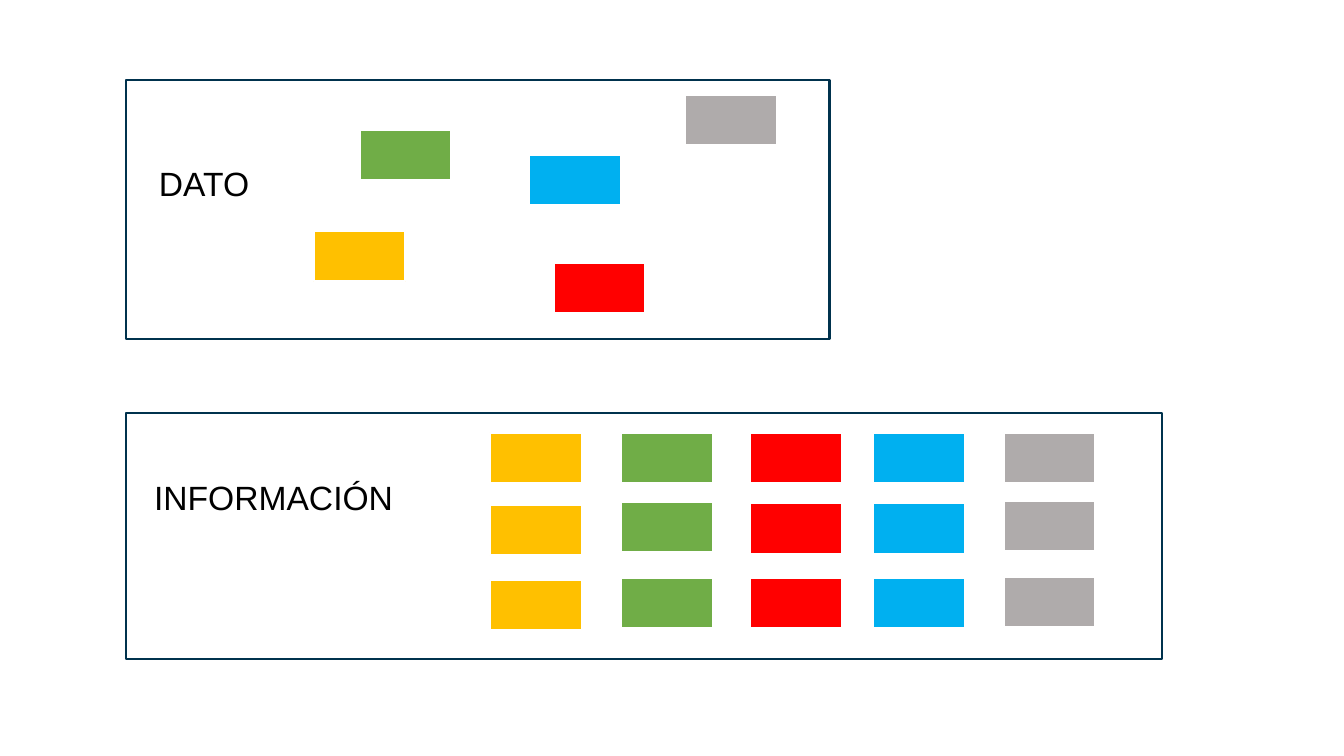
import pptx
import pptx.util
import pptx.dml.color
import pptx.enum.shapes
import pptx.enum.text
from dataclasses import dataclass

Pt = pptx.util.Pt


@dataclass(frozen=True)
class Theme:
    font: str = "Arial"
    size: int = 24
    line: float = 1.5
    ink: str = "000000"
    edge: str = "00324D"
    white: str = "FFFFFF"
    gold: str = "FFC000"
    green: str = "70AD47"
    red: str = "FF0000"
    blue: str = "00B0F0"
    gray: str = "AFABAB"


def rgb(code):
    return pptx.dml.color.RGBColor.from_string(code)


def write(frame, text, *, font, size, color):
    run = frame.paragraphs[0].add_run()
    run.text = text
    run.font.name = font
    run.font.size = Pt(size)
    run.font.color.rgb = rgb(color)


class Board:
    def __init__(self, slide, theme):
        self.slide = slide
        self.theme = theme

    def rect(self, left, top, width, height, line, fill=None):
        kind = pptx.enum.shapes.MSO_SHAPE.RECTANGLE
        shape = self.slide.shapes.add_shape(
            kind, Pt(left), Pt(top), Pt(width), Pt(height))
        shape.shadow.inherit = False
        if fill:
            shape.fill.solid()
            shape.fill.fore_color.rgb = rgb(fill)
        else:
            shape.fill.background()
        shape.line.color.rgb = rgb(line)
        shape.line.width = Pt(self.theme.line)

    def panel(self, left, top, width, height):
        self.rect(left, top, width, height, self.theme.edge)

    def block(self, left, top, color):
        self.rect(left, top, 65.5, 36, self.theme.white, color)

    def label(self, text, left, top, width):
        box = self.slide.shapes.add_textbox(
            Pt(left), Pt(top), Pt(width), Pt(36.3))
        frame = box.text_frame
        frame.word_wrap = False
        frame.auto_size = pptx.enum.text.MSO_AUTO_SIZE.SHAPE_TO_FIT_TEXT
        write(frame, text, font=self.theme.font, size=self.theme.size,
              color=self.theme.ink)


def main():
    deck = pptx.Presentation()
    deck.slide_width = Pt(960)
    deck.slide_height = Pt(540)
    theme = Theme()
    board = Board(deck.slides.add_slide(deck.slide_layouts[6]), theme)

    board.panel(90, 57, 502.5, 185)
    board.label("DATO", 106.5, 113, 80)
    loose = [
        (224, 165, theme.gold),
        (257, 93, theme.green),
        (395.5, 187.5, theme.red),
        (378, 110.5, theme.blue),
        (489.5, 68, theme.gray),
    ]
    for left, top, color in loose:
        board.block(left, top, color)

    board.panel(90, 295, 740, 175.5)
    board.label("INFORMACIÓN", 103, 337, 186.5)
    columns = [
        (350, (309, 360.5, 414), theme.gold),
        (443.5, (309, 358.5, 412.5), theme.green),
        (536, (309, 359.5, 413), theme.red),
        (623.5, (309, 359.5, 413), theme.blue),
        (717, (309, 358, 412), theme.gray),
    ]
    for left, tops, color in columns:
        for top in tops:
            board.block(left, top, color)

    deck.save("out.pptx")


if __name__ == "__main__":
    main()
